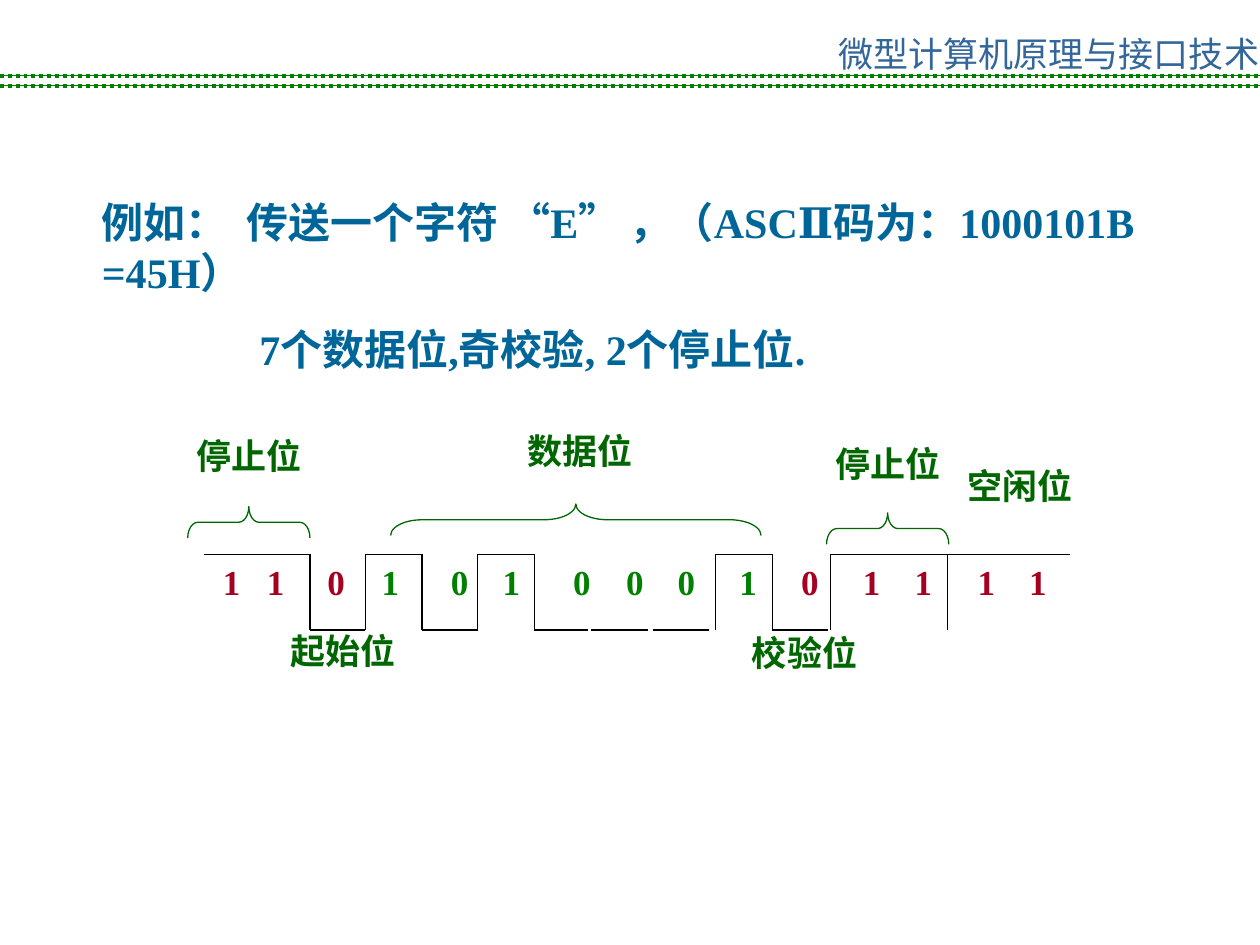
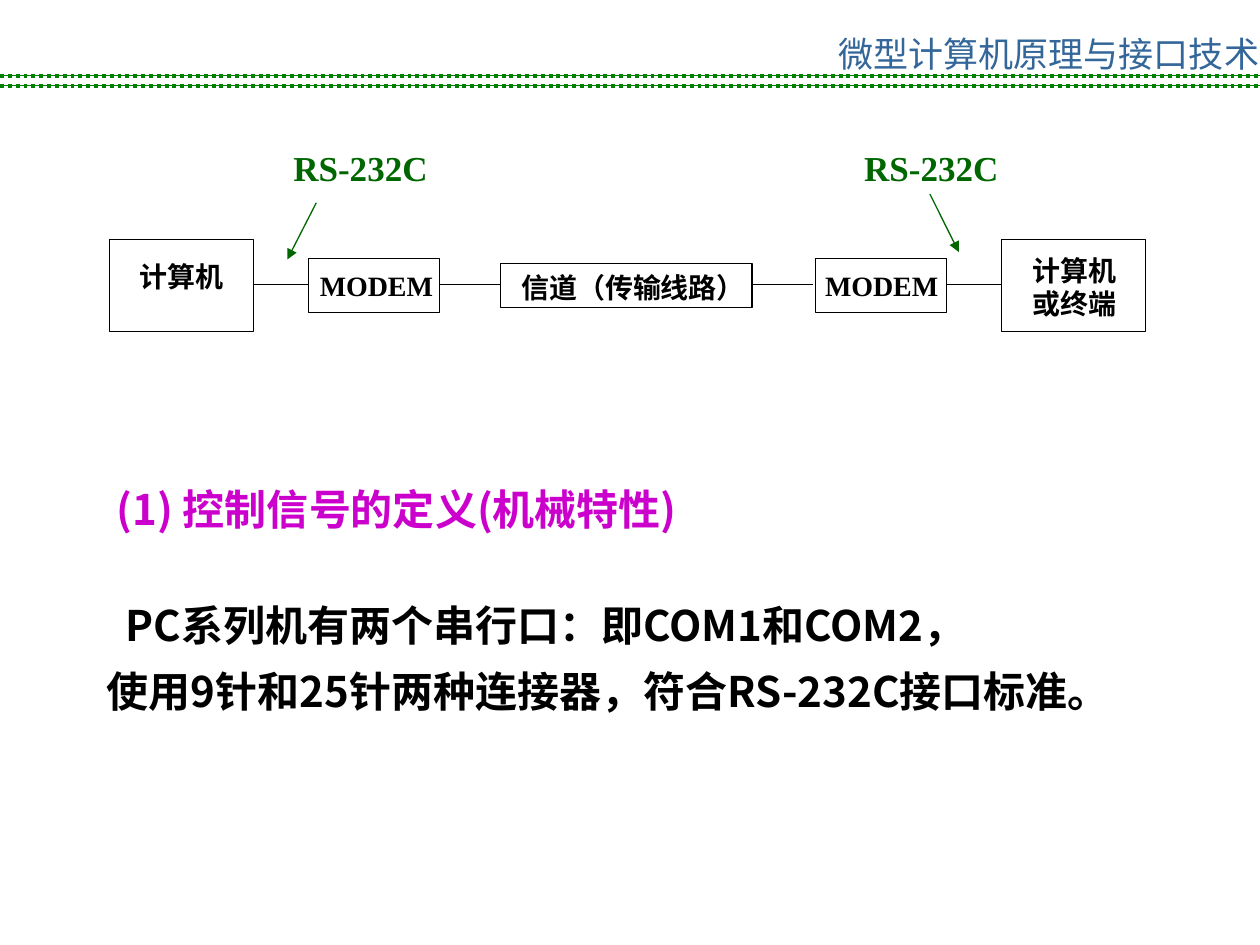
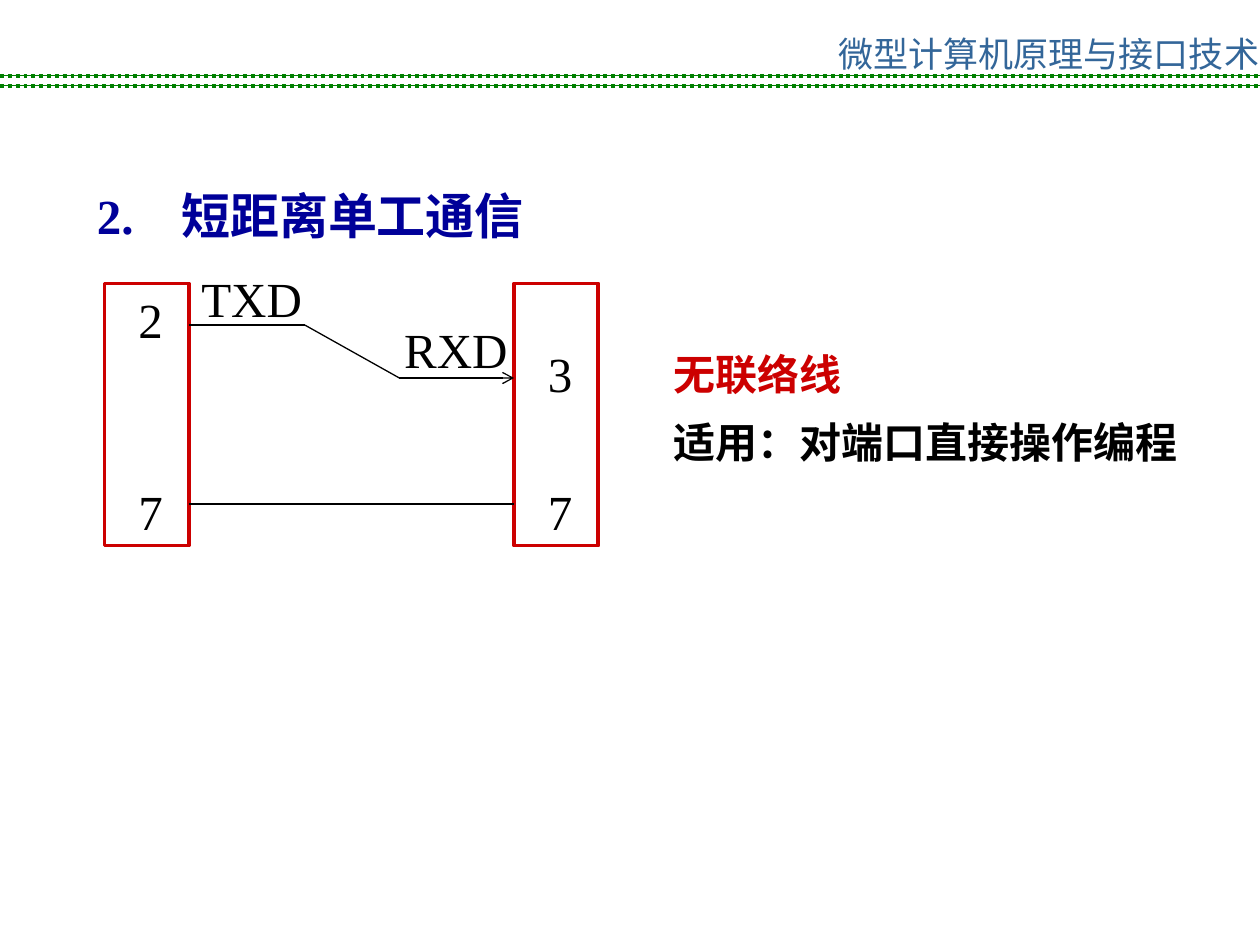
from lxml.etree import SubElement
from pptx import Presentation
from pptx.dml.color import RGBColor
from pptx.enum.dml import MSO_LINE
from pptx.enum.shapes import MSO_CONNECTOR, MSO_SHAPE
from pptx.enum.text import PP_ALIGN
from pptx.oxml.ns import qn
from pptx.util import Inches, Pt

BAND_GREEN = RGBColor(0x00, 0x80, 0x00)
DARK_GREEN = RGBColor(0x00, 0x66, 0x00)
HEADER_BLUE = RGBColor(0x33, 0x66, 0x99)
BODY_BLUE = RGBColor(0x00, 0x66, 0x99)
NAVY = RGBColor(0x00, 0x00, 0x99)
CRIMSON = RGBColor(0xA5, 0x00, 0x21)
RED = RGBColor(0xCC, 0x00, 0x00)
MAGENTA = RGBColor(0xCC, 0x00, 0xCC)
BLACK = RGBColor(0x00, 0x00, 0x00)
SERIF = "Times New Roman"
SANS = "Noto Sans CJK SC"

prs = Presentation()
prs.slide_width = Inches(10)
prs.slide_height = Inches(7.5)
COL = prs.slide_width / 10
ROW = prs.slide_height / 7.5


def write(slide, left, top, width, height, lines, size, bold=True, font=SERIF, tabs=()):
    box = slide.shapes.add_textbox(int(left * COL), int(top * ROW), int(width * COL), int(height * ROW))
    frame = box.text_frame
    frame.word_wrap = True
    frame.margin_right = 0
    for number, pieces in enumerate(lines):
        paragraph = frame.add_paragraph() if number else frame.paragraphs[0]
        if tabs:
            stops = SubElement(paragraph._p.get_or_add_pPr(), qn("a:tabLst"))
            for stop in tabs:
                SubElement(stops, qn("a:tab"), pos=str(int(stop * COL)), algn="l")
        for words, color in pieces:
            run = paragraph.add_run()
            run.text = words
            run.font.name = font
            run.font.size = Pt(size)
            run.font.bold = bold
            run.font.color.rgb = color
            SubElement(run._r.get_or_add_rPr(), qn("a:ea"), typeface=SANS)
    return frame.paragraphs


def draw_line(slide, x1, y1, x2, y2, color=BLACK, weight=0.75, arrow=None, dash=None):
    line = slide.shapes.add_connector(
        MSO_CONNECTOR.STRAIGHT, int(x1 * COL), int(y1 * ROW), int(x2 * COL), int(y2 * ROW))
    line.line.color.rgb = color
    line.line.width = Pt(weight)
    if dash:
        line.line.dash_style = dash
    if arrow:
        SubElement(line.line._get_or_add_ln(), qn("a:tailEnd"), type=arrow)
    SubElement(line._element.spPr, qn("a:effectLst"))


slides = [prs.slides.add_slide(prs.slide_layouts[6]) for _ in range(3)]
for slide in slides:
    header = write(slide, 6.55, 0.21, 3.45, 0.24, [[("微型计算机原理与接口技术", HEADER_BLUE)]],
                   20, bold=False, font=SANS)
    header[0].alignment = PP_ALIGN.CENTER
    for band_y in (0.6, 0.68):
        draw_line(slide, 0, band_y, 10, band_y, BAND_GREEN)
        draw_line(slide, 0, band_y, 10, band_y, BAND_GREEN, 2.25, dash=MSO_LINE.ROUND_DOT)
frame_slide, modem_slide, simplex_slide = slides

example = write(frame_slide, 0.71, 1.51, 9.29, 1.51, [
    [("例如：\t传送一个字符 “E” ，（ASCⅡ码为：1000101B =45H）", BODY_BLUE)],
    [("7个数据位,奇校验, 2个停止位.", BODY_BLUE)],
], 24, tabs=[1.15])
example[1].space_before = Pt(15)
example[1]._p.get_or_add_pPr().set("marL", str(int(1.25 * COL)))

HIGH, LOW = 4.4, 5
for start, end, level in [
    (1.62, 2.46, HIGH), (2.46, 2.9, LOW), (2.9, 3.35, HIGH), (3.35, 3.79, LOW), (3.79, 4.24, HIGH),
    (4.24, 4.67, LOW), (4.69, 5.14, LOW), (5.18, 5.63, LOW),
    (5.68, 6.13, HIGH), (6.13, 6.57, LOW), (6.59, 8.49, HIGH),
]:
    draw_line(frame_slide, start, level, end, level)
for edge in (2.46, 2.9, 3.35, 3.79, 4.24, 5.68, 6.13, 6.59, 7.52):
    draw_line(frame_slide, edge, HIGH, edge, LOW)

write(frame_slide, 1.67, 4.4, 7.12, 0.44, [[
    ("1\t1\t0\t", CRIMSON),
    ("1\t0\t1\t0\t0\t0\t1\t", BAND_GREEN),
    ("0\t1\t1\t1\t1", CRIMSON),
]], 20, tabs=[0.35, 0.83, 1.26, 1.81, 2.22, 2.78, 3.2, 3.61, 4.1, 4.59, 5.08, 5.49, 5.99, 6.4])

for label, left, top in [
    ("停止位", 1.46, 3.4), ("起始位", 2.21, 4.95), ("数据位", 4.09, 3.36),
    ("校验位", 5.87, 4.96), ("停止位", 6.53, 3.46), ("空闲位", 7.58, 3.64),
]:
    write(frame_slide, left, top, 1.03, 0.44, [[(label, DARK_GREEN)]], 20)

DEPTH = 0.25
for left, top, span, curve in [(1.49, 4.02, 0.97, 0.32), (3.1, 4, 2.94, 1), (6.56, 4.07, 0.97, 0.32)]:
    brace = frame_slide.shapes.add_shape(
        MSO_SHAPE.LEFT_BRACE, int((left + (span - DEPTH) / 2) * COL),
        int((top - (span - DEPTH) / 2) * ROW), int(DEPTH * COL), int(span * ROW))
    brace.rotation = 90
    brace.adjustments[0] = curve
    brace.shadow.inherit = False
    brace.fill.background()
    brace.line.color.rgb = DARK_GREEN
    brace.line.width = Pt(0.75)

definition = write(modem_slide, 0.75, 3.79, 8.67, 2.46, [
    [("(1) 控制信号的定义(机械特性)", MAGENTA)],
    [("PC系列机有两个串行口：即COM1和COM2，", BLACK)],
    [("使用9针和25针两种连接器，符合RS-232C接口标准。", BLACK)],
], 24, font=SANS)
definition[1].space_before = Pt(29)
for paragraph, indent in zip(definition, (0.08, 0.15, 0)):
    paragraph._p.get_or_add_pPr().set("marL", str(int(indent * COL)))
for paragraph in definition[1:]:
    paragraph.line_spacing = 1.3

outlines = [
    (modem_slide, 0.87, 1.9, 1.14, 0.73, BLACK, 0.75),
    (modem_slide, 2.45, 2.05, 1.04, 0.43, BLACK, 0.75),
    (modem_slide, 3.97, 2.09, 2, 0.35, BLACK, 0.75),
    (modem_slide, 6.47, 2.05, 1.04, 0.43, BLACK, 0.75),
    (modem_slide, 7.95, 1.9, 1.14, 0.73, BLACK, 0.75),
    (simplex_slide, 0.83, 2.25, 0.67, 2.08, RED, 2.25),
    (simplex_slide, 4.08, 2.25, 0.67, 2.08, RED, 2.25),
]
for slide, left, top, width, height, color, weight in outlines:
    outline = slide.shapes.add_shape(
        MSO_SHAPE.RECTANGLE, int(left * COL), int(top * ROW), int(width * COL), int(height * ROW))
    outline.shadow.inherit = False
    outline.fill.background()
    outline.line.color.rgb = color
    outline.line.width = Pt(weight)

for station, left, top, width, height in [
    (["计算机"], 1.01, 2.01, 0.86, 0.37),
    (["MODEM"], 2.44, 2.08, 1.1, 0.37),
    (["信道（传输线路）"], 4.04, 2.1, 1.98, 0.37),
    (["MODEM"], 6.45, 2.08, 1.1, 0.37),
    (["计算机", "或终端"], 8.1, 1.96, 0.86, 0.64),
]:
    write(modem_slide, left, top, width, height, [[(words, BLACK)] for words in station], 16)
for start, end in [(2.01, 2.45), (3.49, 3.97), (5.97, 6.45), (7.52, 7.95)]:
    draw_line(modem_slide, start, 2.26, end, 2.26)
for left, start, top, end, bottom in [(2.23, 2.51, 1.61, 2.28, 2.06), (6.76, 7.38, 1.54, 7.61, 2)]:
    write(modem_slide, left, 1.11, 1.26, 0.44, [[("RS-232C", DARK_GREEN)]], 20)
    draw_line(modem_slide, start, top, end, bottom, DARK_GREEN, arrow="triangle")

write(simplex_slide, 0.67, 1.42, 4.25, 0.57, [[("2.\t短距离单工通信", NAVY)]], 28, tabs=[0.67])
for pin, left, top, width in [
    ("2", 1, 2.25, 0.67), ("7", 1, 3.77, 0.67), ("3", 4.25, 2.68, 0.67), ("7", 4.25, 3.77, 0.67),
    ("TXD", 1.5, 2.08, 1.25), ("RXD", 3.11, 2.49, 1.25),
]:
    write(simplex_slide, left, top, width, 0.57, [[(pin, BLACK)]], 28, bold=False)
draw_line(simplex_slide, 1.5, 2.58, 2.42, 2.58)
draw_line(simplex_slide, 2.42, 2.58, 3.17, 3)
draw_line(simplex_slide, 3.17, 3, 4.08, 3, arrow="arrow")
draw_line(simplex_slide, 1.5, 4, 4.08, 4)

usage = write(simplex_slide, 5.25, 2.58, 4.48, 1.18, [
    [("无联络线", RED)],
    [("适用：对端口直接操作编程", BLACK)],
], 24)
for paragraph in usage:
    paragraph.line_spacing = 1.35

prs.save("out.pptx")
